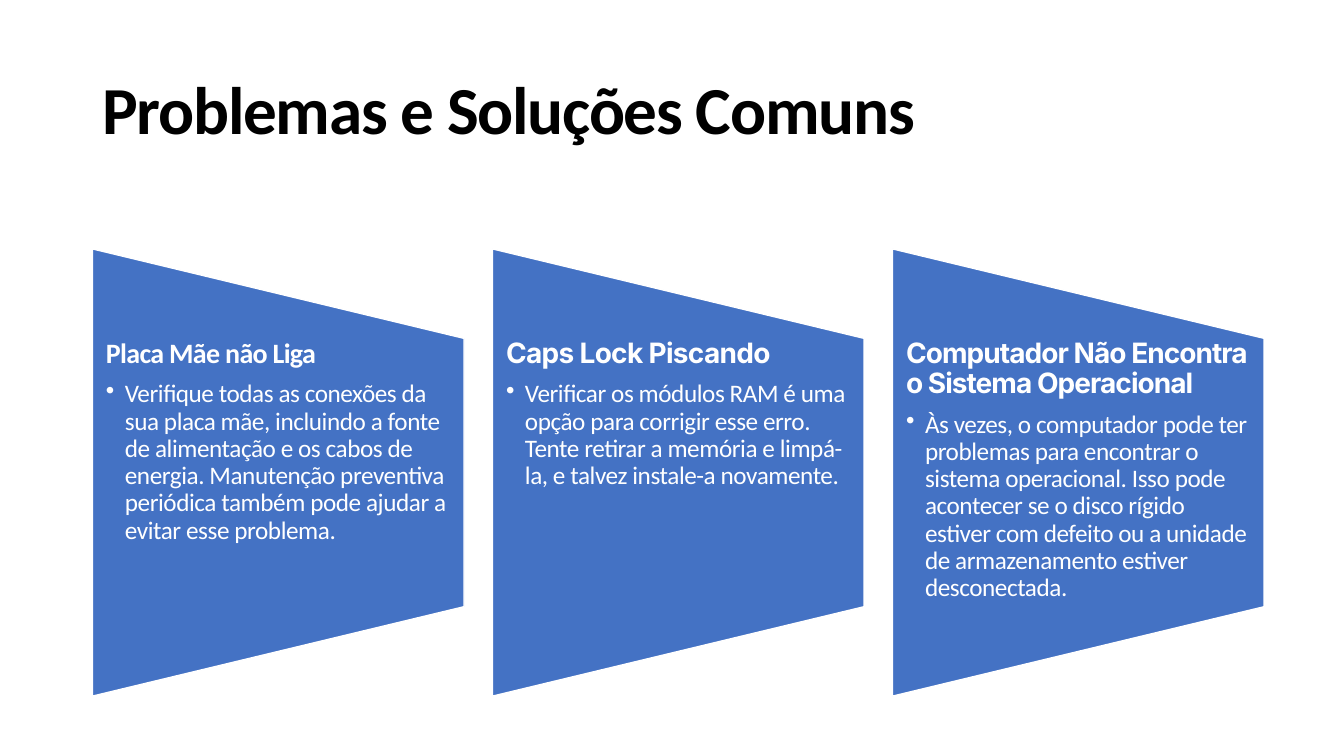
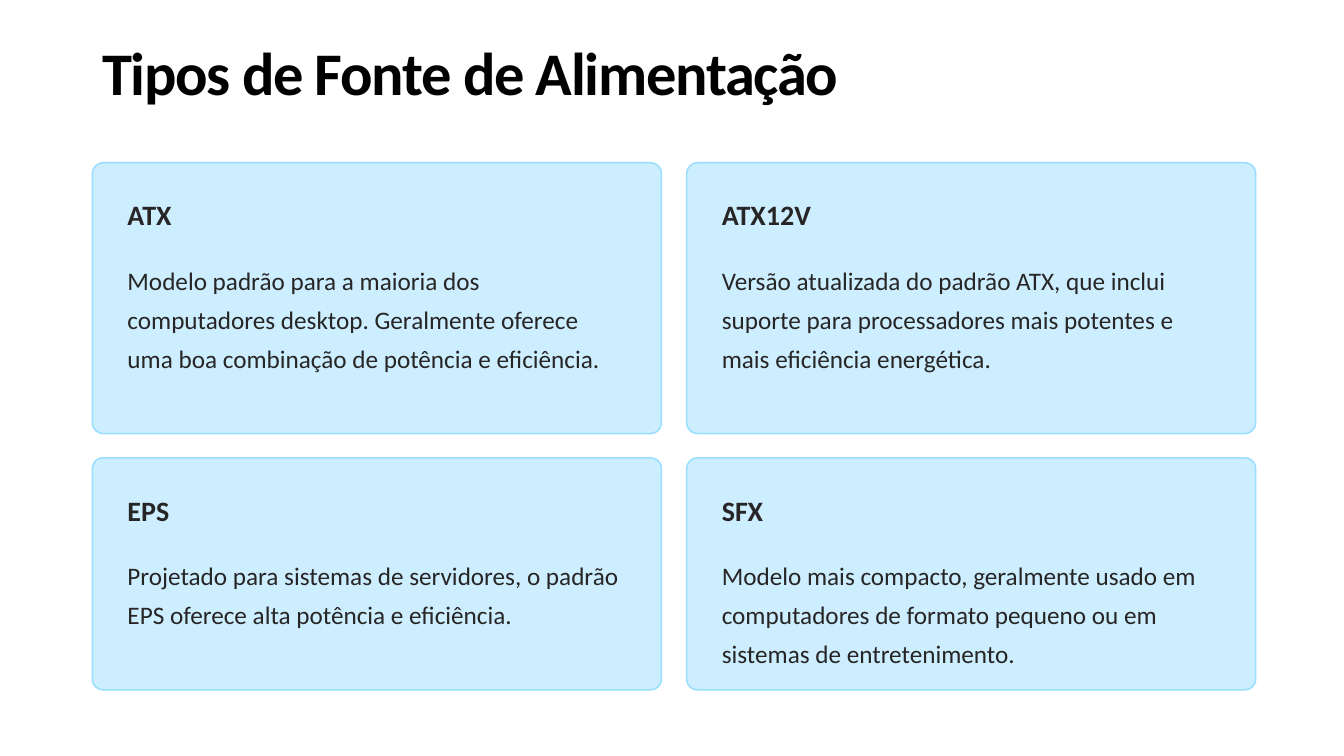
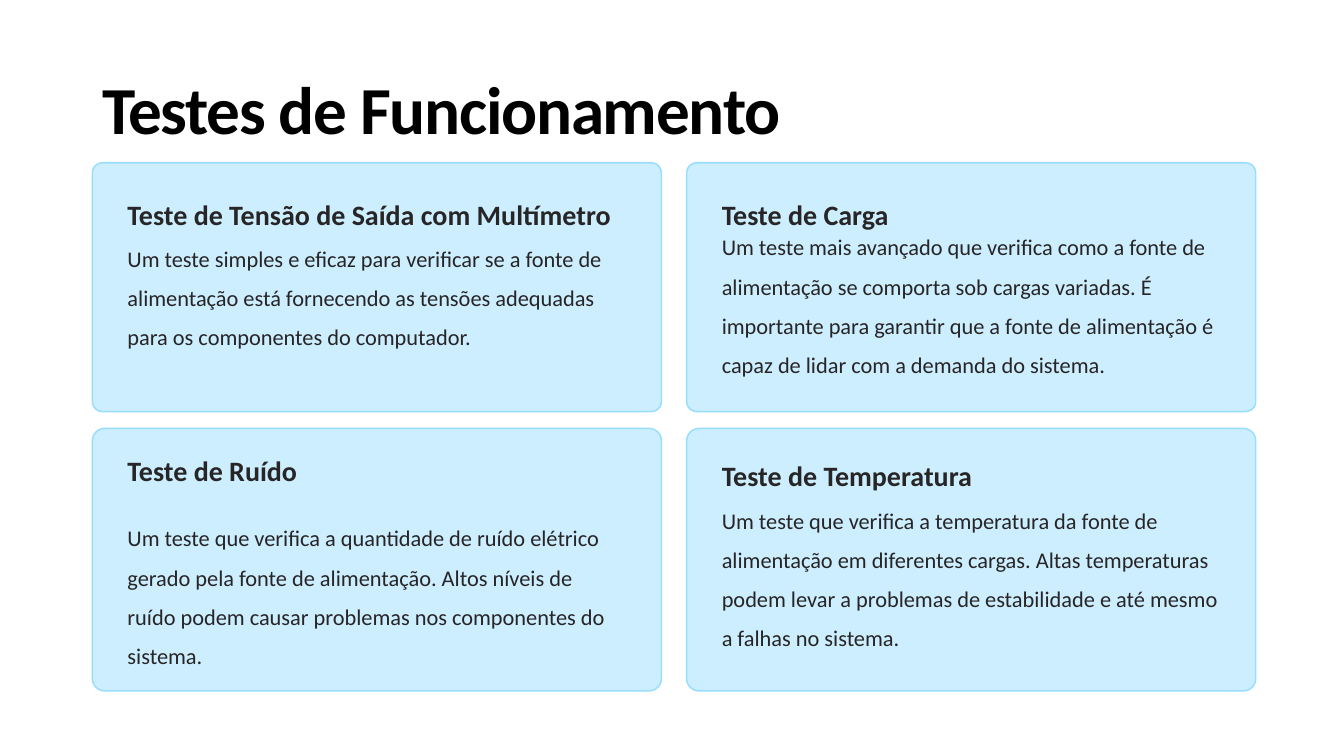
from dataclasses import dataclass

from lxml.etree import SubElement
from pptx import Presentation
from pptx.dml.color import RGBColor
from pptx.enum.shapes import MSO_SHAPE
from pptx.enum.text import MSO_ANCHOR
from pptx.oxml.ns import qn
from pptx.util import Emu, Pt

# Shared look
FONT = "Calibri"
BLACK, WHITE, INK = "000000", "FFFFFF", "272525"
BLUE, PALE, EDGE = "4472C4", "CCEEFF", "99DDFF"
LEFT = 88
STEP = 381  # from one panel to the next
CARD_W, CARD_GAP, PAD = 542, 24, 24
TEXT_W = 492


@dataclass(frozen=True)
class Style:
    size: float
    color: str
    bold: bool = False
    font: str = FONT
    track: int = 0  # hundredths of a point
    lead: float | Pt = 0.9
    after: float = 0
    bullet: bool = False


@dataclass(frozen=True)
class Panel:
    head: str
    body: str
    font: str = "Inter"
    track: int = -50


@dataclass(frozen=True)
class Card:
    head: str
    body: str
    head_y: int
    body_y: int
    lead: float = 27.3


@dataclass(frozen=True)
class Row:
    top: int
    height: int
    round: float
    cards: tuple[Card, Card]


@dataclass(frozen=True)
class Sheet:
    title: str
    size: float
    top: int
    body: int
    rows: tuple[Row, Row]


PANELS = (
    Panel("Placa Mãe não Liga",
          "Verifique todas as conexões da sua placa mãe, incluindo a fonte de "
          "alimentação e os cabos de energia. Manutenção preventiva periódica "
          "também pode ajudar a evitar esse problema.", FONT),
    Panel("Caps Lock Piscando",
          "Verificar os módulos RAM é uma opção para corrigir esse erro. Tente "
          "retirar a memória e limpá-la, e talvez instale-a novamente."),
    Panel("Computador Não Encontra o Sistema Operacional",
          "Às vezes, o computador pode ter problemas para encontrar o sistema "
          "operacional. Isso pode acontecer se o disco rígido estiver com defeito "
          "ou a unidade de armazenamento estiver desconectada.", track=-70),
)

SHEETS = (
    Sheet("Tipos de Fonte de Alimentação", 43.2, 3, 18, (
        Row(155, 258, 0.041, (
            Card("ATX", "Modelo padrão para a maioria dos computadores desktop. "
                 "Geralmente oferece uma boa combinação de potência e eficiência.",
                 179, 239),
            Card("ATX12V", "Versão atualizada do padrão ATX, que inclui suporte para "
                 "processadores mais potentes e mais eficiência energética.",
                 179, 239))),
        Row(436, 221, 0.047, (
            Card("EPS", "Projetado para sistemas de servidores, o padrão EPS oferece "
                 "alta potência e eficiência.", 461, 520),
            Card("SFX", "Modelo mais compacto, geralmente usado em computadores de "
                 "formato pequeno ou em sistemas de entretenimento.", 461, 520))))),
    Sheet("Testes de Funcionamento", 48, 38, 16, (
        Row(155, 237, 0.041, (
            Card("Teste de Tensão de Saída com Multímetro",
                 "Um teste simples e eficaz para verificar se a fonte de alimentação "
                 "está fornecendo as tensões adequadas para os componentes do "
                 "computador.", 179, 217),
            Card("Teste de Carga",
                 "Um teste mais avançado que verifica como a fonte de alimentação se "
                 "comporta sob cargas variadas. É importante para garantir que a "
                 "fonte de alimentação é capaz de lidar com a demanda do sistema.",
                 179, 206))),
        Row(408, 250, 0.047, (
            Card("Teste de Ruído",
                 "Um teste que verifica a quantidade de ruído elétrico gerado pela "
                 "fonte de alimentação. Altos níveis de ruído podem causar problemas "
                 "nos componentes do sistema.", 430, 483, 22.1),
            Card("Teste de Temperatura",
                 "Um teste que verifica a temperatura da fonte de alimentação em "
                 "diferentes cargas. Altas temperaturas podem levar a problemas de "
                 "estabilidade e até mesmo a falhas no sistema.", 428, 466))))),
)


def px(num: int) -> Emu:
    return Emu(num * 9525)


def rgb(code: str) -> RGBColor:
    return RGBColor.from_string(code)


def shape(slide, kind, box: tuple[int, ...], fill: str, line: str, width: float):
    item = slide.shapes.add_shape(kind, *map(px, box))
    item.shadow.inherit = False
    item.fill.solid()
    item.fill.fore_color.rgb = rgb(fill)
    item.line.color.rgb = rgb(line)
    item.line.width = Pt(width)
    return item


def text(slide, box: tuple[int, ...], *parts: tuple[str, Style]):
    frame = slide.shapes.add_textbox(*map(px, box)).text_frame
    frame.word_wrap = True
    for pos, (words, style) in enumerate(parts):
        para = frame.add_paragraph() if pos else frame.paragraphs[0]
        para.text = words
        para.line_spacing = style.lead
        para.space_after = Pt(style.after)
        if style.bullet:
            props = para._p.get_or_add_pPr()
            props.set("marL", str(px(18)))
            props.set("indent", str(-px(18)))
            SubElement(props, qn("a:buChar"), char="•")
        font = para.font
        font.name, font.size, font.bold = style.font, Pt(style.size), style.bold
        font.color.rgb = rgb(style.color)
        if style.track:
            font._rPr.set("spc", str(style.track))
    return frame


def start(deck, title: str, size: float = 48, top: int = 38):
    """Add a blank slide with its title."""
    slide = deck.slides.add_slide(deck.slide_layouts[6])
    style = Style(size, BLACK, True, track=-90)
    frame = text(slide, (LEFT, top, 1104, 139), (title, style))
    frame.vertical_anchor = MSO_ANCHOR.MIDDLE
    return slide


def panel(slide, item: Panel, left: int) -> None:
    # The frame is turned a quarter, so its width is the drawn height
    back = shape(slide, MSO_SHAPE.FLOWCHART_MANUAL_OPERATION,
                 (left - 36, 273, 426, 354), BLUE, WHITE, 1)
    back.rotation = 270
    head = Style(20, WHITE, True, item.font, item.track, after=8.4)
    body = Style(18, WHITE, track=-30, after=3, bullet=True)
    frame = text(slide, (left, 323, 354, 255), (item.head, head), (item.body, body))
    frame.margin_left = frame.margin_right = px(13)
    frame.margin_top = frame.margin_bottom = 0


def card(slide, item: Card, row: Row, left: int, size: int) -> None:
    back = shape(slide, MSO_SHAPE.ROUNDED_RECTANGLE,
                 (left, row.top, CARD_W, row.height), PALE, EDGE, 1.09)
    back.adjustments[0] = row.round
    head = Style(20, INK, True, lead=Pt(item.lead))
    body = Style(size, INK, lead=Pt(28))
    text(slide, (left + PAD, item.head_y, TEXT_W, 36), (item.head, head))
    text(slide, (left + PAD, item.body_y, TEXT_W, 112), (item.body, body))


def main() -> None:
    deck = Presentation()
    deck.slide_width, deck.slide_height = px(1280), px(720)

    # Problems
    slide = start(deck, "Problemas e Soluções Comuns")
    for col, item in enumerate(PANELS):
        panel(slide, item, LEFT + col * STEP)

    # Card grids
    for sheet in SHEETS:
        slide = start(deck, sheet.title, sheet.size, sheet.top)
        for row in sheet.rows:
            for col, item in enumerate(row.cards):
                card(slide, item, row, LEFT + col * (CARD_W + CARD_GAP), sheet.body)

    deck.save("out.pptx")


if __name__ == "__main__":
    main()
